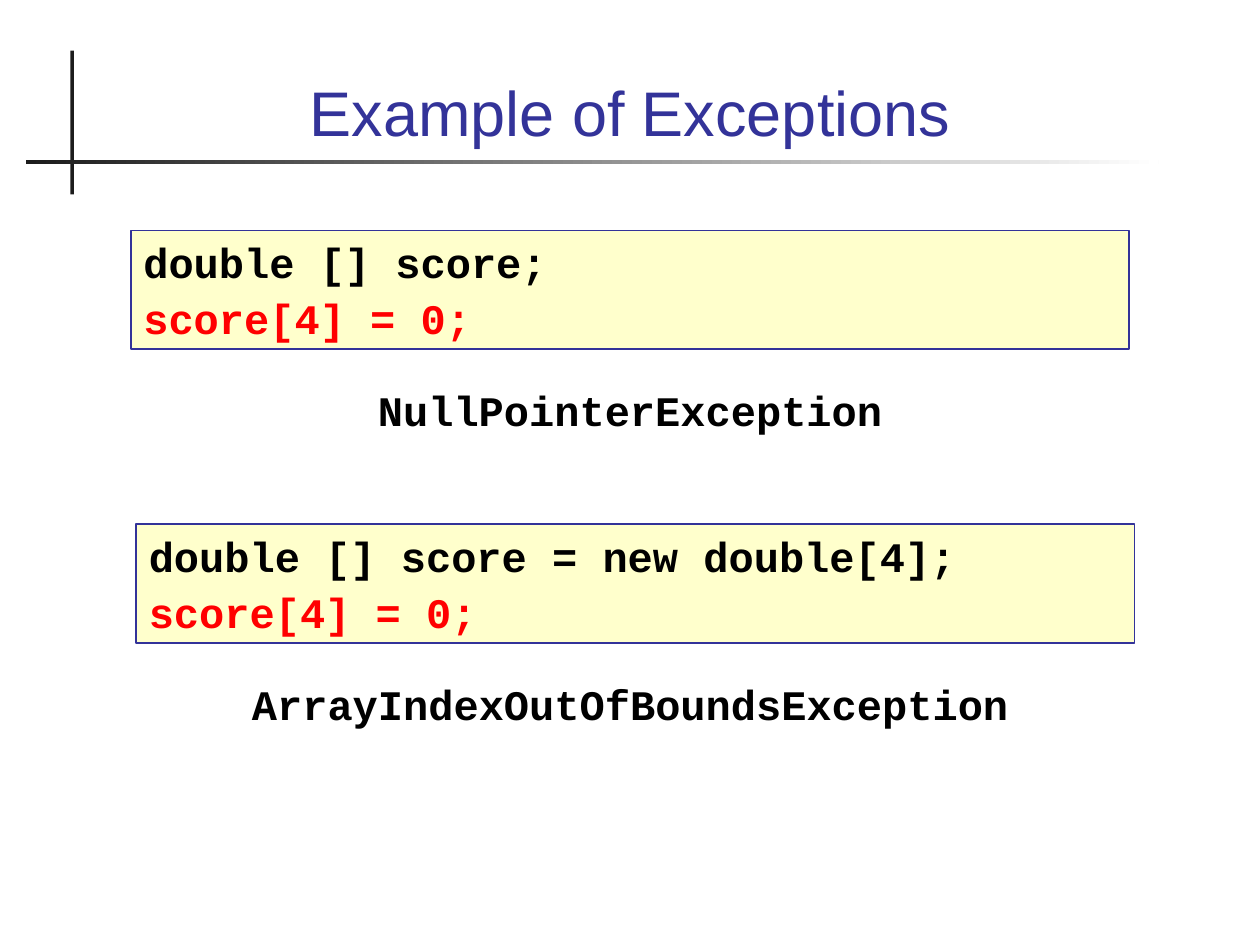
from pptx import Presentation
from pptx.dml.color import RGBColor
from pptx.enum.shapes import MSO_SHAPE
from pptx.enum.text import MSO_ANCHOR, PP_ALIGN
from pptx.util import Cm, Pt

RECTANGLE = MSO_SHAPE.RECTANGLE
TOP, BOTTOM = MSO_ANCHOR.TOP, MSO_ANCHOR.BOTTOM
LEFT, CENTER = PP_ALIGN.LEFT, PP_ALIGN.CENTER

INK, NAVY, CREAM = "1C1C1C", "333399", "FFFFCC"
BLACK, RED, WHITE = "000000", "FF0000", "FFFFFF"
TITLE_FONT = {"name": "Arial", "size": Pt(36), "bold": False}
CODE_FONT = {"name": "Courier New", "size": Pt(24), "bold": True}
CODE_LINE = {"line_spacing": Pt(28.8)}

EXAMPLES = [
    # left, top, declaration, failing line, exception
    (2.64, 4.65, "double [] score;", "score[4] = 0;", "NullPointerException"),
    (2.75, 10.57, "double [] score = new double[4];", "score[4] = 0;",
     "ArrayIndexOutOfBoundsException"),
]


def colour(value):
    return RGBColor.from_string(value)


def apply(target, values):
    for name, value in values.items():
        setattr(target, name, value)


def add_bar(page, left, top, width, height, fill, line=None):
    bar = page.shapes.add_shape(RECTANGLE, Cm(left), Cm(top), Cm(width), Cm(height))
    bar.shadow.inherit = False
    bar.fill.solid()
    bar.fill.fore_color.rgb = colour(fill)
    if line:
        bar.line.color.rgb = colour(line)
        bar.line.width = Pt(1)
    else:
        bar.line.fill.background()
    return bar


def write(box, lines, font, align, anchor=TOP, layout=None):
    """Write (text, colour) pairs, one paragraph each."""
    frame = box.text_frame
    apply(frame, {"word_wrap": True, "vertical_anchor": anchor})
    for index, (text, ink) in enumerate(lines):
        para = frame.add_paragraph() if index else frame.paragraphs[0]
        apply(para, {"alignment": align, **(layout or {})})
        if index:
            para.space_before = Pt(3)
        span = para.add_run()
        span.text = text
        apply(span.font, font)
        span.font.color.rgb = colour(ink)


def add_header(page, left, top):
    # Crossing rules, the horizontal one fading to the right
    add_bar(page, left + 0.89, top, 0.07, 2.9, INK)
    rule = add_bar(page, left, top + 2.2, 22.83, 0.08, INK)
    rule.fill.gradient()
    rule.fill.gradient_angle = 0
    for stop, ink in zip(rule.fill.gradient_stops, (INK, WHITE)):
        stop.color.rgb = colour(ink)
    # Title
    title = page.shapes.add_textbox(Cm(left + 1.17), Cm(top + 0.05), Cm(22), Cm(2.06))
    write(title, [("Example of Exceptions", NAVY)], TITLE_FONT, CENTER, BOTTOM)


def add_example(page, left, top, declaration, failure, exception):
    # Code panel
    panel = add_bar(page, left, top, 20.12, 2.39, CREAM, NAVY)
    write(panel, [(declaration, BLACK), (failure, RED)], CODE_FONT, LEFT,
          layout=CODE_LINE)
    # Exception raised, centred on the slide
    label = page.shapes.add_textbox(Cm(2.64), Cm(top + 2.98), Cm(20.12), Cm(1.27))
    write(label, [(exception, BLACK)], CODE_FONT, CENTER, layout=CODE_LINE)


def main():
    deck = Presentation()
    apply(deck, {"slide_width": Cm(25.4), "slide_height": Cm(19.05)})
    page = deck.slides.add_slide(deck.slide_layouts[6])
    add_header(page, 0.53, 1.02)
    for example in EXAMPLES:
        add_example(page, *example)
    deck.save("out.pptx")


if __name__ == "__main__":
    main()
